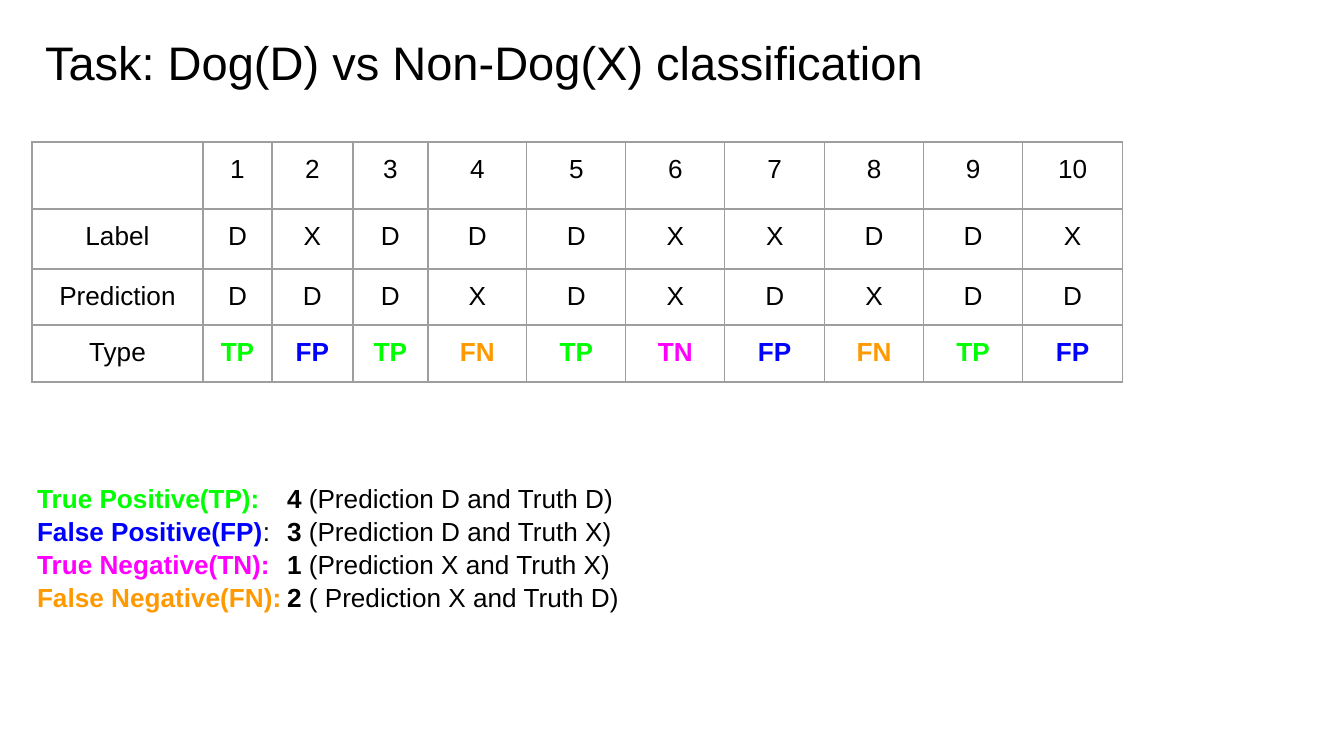
from dataclasses import dataclass
from itertools import pairwise

from lxml.etree import SubElement as Sub
from pptx import Presentation
from pptx.dml.color import RGBColor
from pptx.enum.text import MSO_ANCHOR as Anchor, MSO_AUTO_SIZE as Fit, PP_ALIGN as Align
from pptx.oxml.ns import qn
from pptx.util import Pt

SCALE = 914400 / 134.4  # EMU per px

BLACK = RGBColor(0x00, 0x00, 0x00)
GRAY = RGBColor(0x9E, 0x9E, 0x9E)
GREEN = RGBColor(0x00, 0xFF, 0x00)
BLUE = RGBColor(0x00, 0x00, 0xFF)
PINK = RGBColor(0xFF, 0x00, 0xFF)
ORANGE = RGBColor(0xFF, 0x99, 0x00)


@dataclass
class Kind:
    name: str
    count: int
    note: str
    color: RGBColor
    plain: str = ""  # end of the name, set in regular black


KINDS = {
    "TP": Kind("True Positive(TP):", 4, "(Prediction D and Truth D)", GREEN),
    "FP": Kind("False Positive(FP)", 3, "(Prediction D and Truth X)", BLUE, ":"),
    "TN": Kind("True Negative(TN):", 1, "(Prediction X and Truth X)", PINK),
    "FN": Kind("False Negative(FN):", 2, "( Prediction X and Truth D)", ORANGE),
}
ROWS = [
    ["", *map(str, range(1, 11))],
    ["Label", *"DXDDDXXDDX"],
    ["Prediction", *"DDDXDXDXDD"],
    ["Type", *"TP FP TP FN TP TN FP FN TP FP".split()],
]
EDGES = [32, 203, 272, 353] + [428 + 695 * i // 7 for i in range(8)]
HEIGHTS = [65, 60, 56, 57]


def px(n: int) -> int:
    return round(n * SCALE)


def add_run(para, text: str, color=BLACK, bold=False, size=14) -> None:
    run = para.add_run()
    run.text = text
    style = {"name": "Arial", "size": Pt(size), "bold": bold}
    for key, value in style.items():
        setattr(run.font, key, value)
    run.font.color.rgb = color


def set_frame(frame) -> None:
    style = {"word_wrap": True, "auto_size": Fit.NONE, "vertical_anchor": Anchor.TOP}
    style |= {f"margin_{side}": px(13) for side in ("left", "top", "right", "bottom")}
    for key, value in style.items():
        setattr(frame, key, value)


def set_edges(cell) -> None:
    """Draw the four borders of a cell and leave it unfilled."""
    props = cell._tc.get_or_add_tcPr()
    for tag in ("a:lnL", "a:lnR", "a:lnT", "a:lnB"):
        line = Sub(props, qn(tag), w=str(Pt(0.75)))
        fill = Sub(line, qn("a:solidFill"))
        Sub(fill, qn("a:srgbClr"), val=str(GRAY))
    cell.fill.background()


def add_title(slide, text: str) -> None:
    title = slide.shapes.title
    box = {"left": 32, "top": 20, "width": 1253, "height": 85}
    for key, value in box.items():
        setattr(title, key, px(value))
    set_frame(title.text_frame)
    para = title.text_frame.paragraphs[0]
    para.alignment = Align.LEFT
    add_run(para, text, size=25.2)


def add_grid(slide) -> None:
    width = EDGES[-1] - EDGES[0]
    grid = slide.shapes.add_table(
        len(ROWS), len(ROWS[0]), px(EDGES[0]), px(142), px(width), px(sum(HEIGHTS))
    ).table
    grid.first_row = grid.horz_banding = False
    for col, (left, right) in zip(grid.columns, pairwise(EDGES)):
        col.width = px(right - left)
    for row, high, words in zip(grid.rows, HEIGHTS, ROWS):
        row.height = px(high)
        for cell, word in zip(row.cells, words):
            for side in ("left", "top", "right", "bottom"):
                setattr(cell, f"margin_{side}", px(13))
            set_edges(cell)
            para = cell.text_frame.paragraphs[0]
            para.alignment = Align.CENTER
            if word:
                kind = KINDS.get(word)
                add_run(para, word, kind.color if kind else BLACK, bool(kind))


def add_key(slide) -> None:
    """List the four outcomes, with the counts lined up at a tab stop."""
    box = slide.shapes.add_textbox(px(24), px(468), px(620), px(153))
    frame = box.text_frame
    set_frame(frame)
    for i, kind in enumerate(KINDS.values()):
        para = frame.add_paragraph() if i else frame.paragraphs[0]
        para.line_spacing = 1.05
        tabs = Sub(para._p.get_or_add_pPr(), qn("a:tabLst"))
        Sub(tabs, qn("a:tab"), pos=str(px(250)), algn="l")
        add_run(para, kind.name, kind.color, True)
        add_run(para, f"{kind.plain}\t")
        add_run(para, str(kind.count), bold=True)
        add_run(para, f" {kind.note}")


def main() -> None:
    deck = Presentation()
    deck.slide_width, deck.slide_height = px(1344), px(756)
    slide = deck.slides.add_slide(deck.slide_layouts[5])
    add_title(slide, "Task: Dog(D) vs Non-Dog(X) classification")
    add_grid(slide)
    add_key(slide)
    deck.save("out.pptx")


if __name__ == "__main__":
    main()
